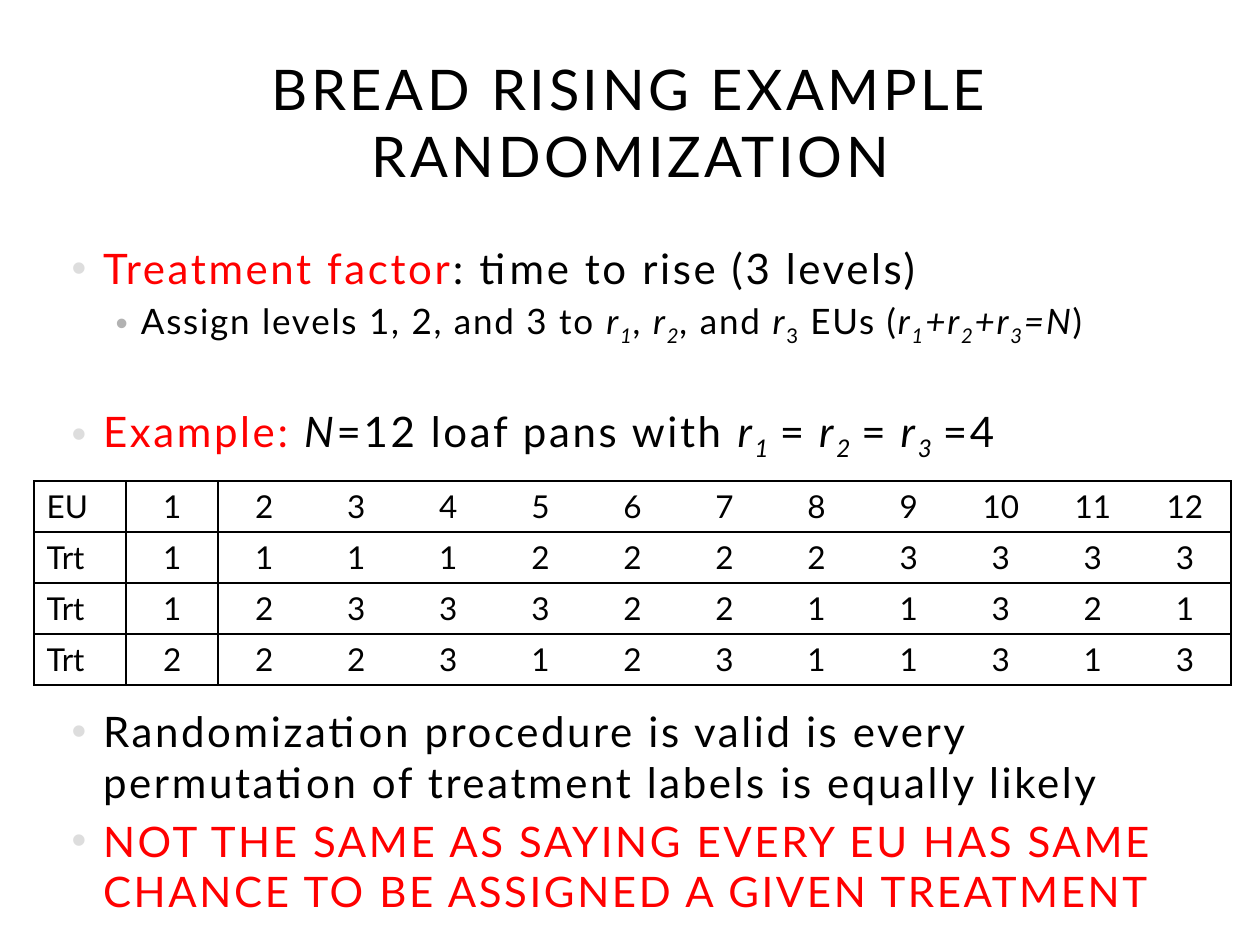
from lxml.etree import SubElement
from pptx import Presentation
from pptx.dml.color import RGBColor
from pptx.enum.text import MSO_ANCHOR as Anchor, PP_ALIGN as Align
from pptx.oxml import parse_xml
from pptx.oxml.ns import nsdecls, qn
from pptx.util import Inches, Pt

BLACK, RED, LIGHT_GRAY, GRAY = "000000", "FF0000", "DDDDDD", "B2B2B2"


def rgb(color):
    return RGBColor.from_string(color)


def add_run(paragraph, text, size, style="", spacing=0):
    """Style words: red, italic, sub; spacing is in points."""
    run = paragraph.add_run()
    run.text = text
    run.font.name = "Lato"
    run.font.size = Pt(size)
    run.font.color.rgb = rgb(RED if "red" in style else BLACK)
    run.font.italic = "italic" in style
    properties = run.font._element
    if spacing:
        properties.set("spc", str(int(spacing * 100)))
    if "sub" in style:
        properties.set("baseline", "-25000")


presentation = Presentation()
presentation.slide_width, presentation.slide_height = Inches(10), Inches(7.5)
WIDTH, HEIGHT = presentation.slide_width, presentation.slide_height
slide = presentation.slides.add_slide(presentation.slide_layouts[6])

# Body: (level, space before in points, runs); large spaces leave room for the table
body_paragraphs = [
    (0, 0, [("Treatment factor", "red"), (": time to rise (3 levels)", "")]),
    (1, 4, [
        ("Assign levels 1, 2, and 3 to ", ""), ("r", "italic"), ("1", "italic sub"),
        (", r", "italic"), ("2", "italic sub"), (", ", "italic"), ("and ", ""),
        ("r", "italic"), ("3", "sub"), (" EUs (", ""),
        ("r", "italic"), ("1", "italic sub"), ("+r", "italic"), ("2", "italic sub"),
        ("+r", "italic"), ("3", "italic sub"), ("=N", "italic"), (")", ""),
    ]),
    (0, 32.8, [
        ("Example: ", "red"), ("N", "italic"), ("=12 loaf pans with ", ""),
        ("r", "italic"), ("1 ", "italic sub"), ("=", ""),
        (" r", "italic"), ("2 ", "italic sub"), ("=", ""),
        (" r", "italic"), ("3 ", "italic sub"), ("=4", ""),
    ]),
    (0, 139.2, [("Randomization procedure is valid is every permutation of "
                 "treatment labels is equally likely", "")]),
    (0, 4.8, [("NOT THE SAME AS SAYING EVERY EU HAS SAME CHANCE TO BE ASSIGNED "
               "A GIVEN TREATMENT", "red")]),
]
# Per level: text size, letter spacing, left margin, hanging indent, bullet colour
levels = [(24, 1.5, 0.3, -0.25, LIGHT_GRAY), (20, 1, 0.6, -0.2, GRAY)]

body = slide.shapes.add_textbox(
    int(WIDTH * 0.042), int(HEIGHT * 0.25), int(WIDTH * 0.92), int(HEIGHT * 0.75))
body.text_frame.word_wrap = True
for index, (level, space_before, runs) in enumerate(body_paragraphs):
    paragraph = body.text_frame.paragraphs[0] if index == 0 else body.text_frame.add_paragraph()
    size, spacing, margin, indent, bullet_color = levels[level]
    paragraph.level = level
    paragraph.space_before = Pt(space_before)
    properties = paragraph._p.get_or_add_pPr()
    properties.set("marL", str(Inches(margin)))
    properties.set("indent", str(Inches(indent)))
    color = SubElement(properties, qn("a:buClr"))
    SubElement(color, qn("a:srgbClr"), val=bullet_color)
    SubElement(properties, qn("a:buFont"), typeface="Arial")
    SubElement(properties, qn("a:buChar"), char="•")
    for text, style in runs:
        add_run(paragraph, text, size, style, spacing)

# Title
title = slide.shapes.add_textbox(
    int(WIDTH * 0.042), int(HEIGHT * 0.052), int(WIDTH * 0.917), int(HEIGHT * 0.153))
title.text_frame.word_wrap = True
title.text_frame.vertical_anchor = Anchor.MIDDLE
paragraph = title.text_frame.paragraphs[0]
paragraph.alignment = Align.CENTER
add_run(paragraph, "BREAD RISING EXAMPLE", 32, spacing=2)
paragraph.add_line_break()
add_run(paragraph, "RANDOMIZATION", 32, spacing=2)

# Table of units and three treatment assignments
table_rows = [
    ["EU", *range(1, 13)],
    ["Trt", 1, 1, 1, 1, 2, 2, 2, 2, 3, 3, 3, 3],
    ["Trt", 1, 2, 3, 3, 3, 2, 2, 1, 1, 3, 2, 1],
    ["Trt", 2, 2, 2, 3, 1, 2, 3, 1, 1, 3, 1, 3],
]
row_count, column_count = len(table_rows), len(table_rows[0])
table = slide.shapes.add_table(
    row_count, column_count, int(WIDTH * 0.027), int(HEIGHT * 0.509),
    int(WIDTH * 0.95), int(HEIGHT * 0.216)).table
table.first_row = table.horz_banding = False
NO_STYLE = "{2D5ABB26-0587-4C30-8999-92F81FD0307C}"
table._tbl.tblPr.find(qn("a:tableStyleId")).text = NO_STYLE

for row, values in enumerate(table_rows):
    for column, value in enumerate(values):
        cell = table.cell(row, column)
        cell.fill.background()
        paragraph = cell.text_frame.paragraphs[0]
        paragraph.alignment = Align.CENTER if column else Align.LEFT
        add_run(paragraph, str(value), 18)
        sides = ["T", "B"]
        if column == 0 or column == column_count - 1:
            sides.insert(0, "R")
        if column <= 1:
            sides.insert(0, "L")
        for position, side in enumerate(sides):
            border = parse_xml(
                f'<a:ln{side} {nsdecls("a")} w="{Pt(1)}"><a:solidFill>'
                f'<a:srgbClr val="{BLACK}"/></a:solidFill></a:ln{side}>')
            cell._tc.get_or_add_tcPr().insert(position, border)

presentation.save("out.pptx")
